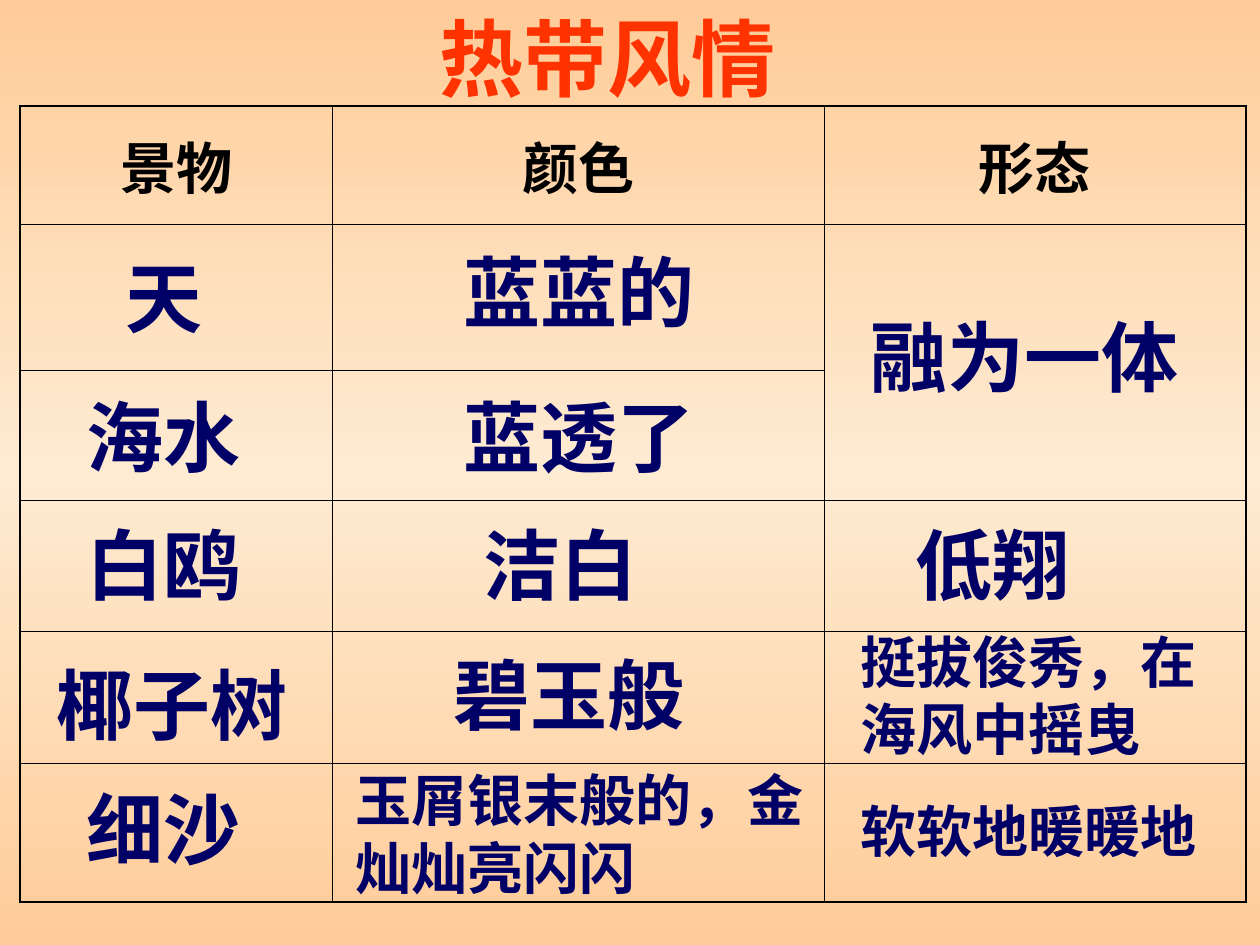
"""Build the tropical scenery slide: a title, a ruled grid and its answers."""
from copy import deepcopy

from lxml import etree
from pptx import Presentation
from pptx.dml.color import RGBColor
from pptx.enum.lang import MSO_LANGUAGE_ID
from pptx.enum.text import MSO_ANCHOR, MSO_AUTO_SIZE, PP_ALIGN
from pptx.oxml.ns import qn
from pptx.util import Inches, Pt

CHINESE = MSO_LANGUAGE_ID.SIMPLIFIED_CHINESE
TOP, MIDDLE = MSO_ANCHOR.TOP, MSO_ANCHOR.MIDDLE
LEFT, CENTER = PP_ALIGN.LEFT, PP_ALIGN.CENTER
FIXED = MSO_AUTO_SIZE.NONE

FONT = "Times New Roman"
RED, NAVY, BLACK = "FF3300", "000066", "000000"
STOPS = [(0, "FFCC99"), (0.5, "FEEBD2"), (1, "FFCC99")]
THICK, THIN = 1.08, 0.45
BIG, SMALL = 44, 32
HIGH = {BIG: 0.84, SMALL: 0.64}

TITLE = "热带风情"
HEADS = ["景物", "颜色", "形态"]
COLS = [2.48, 3.9, 3.35]
ROWS = [0.94, 1.16, 1.03, 1.04, 1.05, 1.1]
ANSWERS = [
    ("天", 0.9, 1.94, 1.97, BIG, 1),
    ("海水", 0.59, 3.04, 1.73, BIG, 1),
    ("白鸥", 0.59, 4.06, 2.6, BIG, 1),
    ("椰子树", 0.35, 5.17, 2.76, BIG, 1),
    ("细沙", 0.59, 6.15, 1.89, BIG, 1),
    ("蓝蓝的", 3.58, 1.89, 2.6, BIG, 1),
    ("蓝透了", 3.58, 3.04, 3.07, BIG, 1),
    ("洁白", 3.74, 4.06, 3.23, BIG, 1),
    ("碧玉般", 3.5, 5.09, 2.68, BIG, 1),
    ("玉屑银末般的，金灿灿亮闪闪", 2.72, 6.03, 4.02, SMALL, 2),
    ("融为一体", 6.81, 2.41, 3.19, BIG, 1),
    ("低翔", 7.17, 4.06, 2.83, BIG, 1),
    ("挺拔俊秀，在海风中摇曳", 6.73, 4.93, 3.27, SMALL, 2),
    ("软软地暖暖地", 6.73, 6.27, 3.27, SMALL, 1),
]


def color(code):
    return RGBColor.from_string(code)


def write(frame, text, size, code, align=LEFT):
    para = frame.paragraphs[0]
    para.alignment = align
    run = para.add_run()
    run.text = text
    font = run.font
    font.name, font.size, font.bold = FONT, Pt(size), True
    font.color.rgb = color(code)
    font.language_id = CHINESE


def shade(slide):
    fill = slide.background.fill
    fill.gradient()
    fill.gradient_angle = 90
    stops = next(slide.element.iter(qn("a:gsLst")))
    stops.insert(1, deepcopy(stops[0]))
    for stop, (spot, code) in zip(fill.gradient_stops, STOPS):
        stop.position = spot
        stop.color.rgb = color(code)


def rule(cell, widths):
    props = cell._tc.get_or_add_tcPr()
    for side, width in zip("LRTB", widths):
        line = etree.SubElement(props, qn(f"a:ln{side}"), w=str(Pt(width)))
        solid = etree.SubElement(line, qn("a:solidFill"))
        etree.SubElement(solid, qn("a:srgbClr"), val=BLACK)


def add_grid(slide):
    table = slide.shapes.add_table(
        len(ROWS), len(COLS), Inches(0.16), Inches(0.84),
        Inches(sum(COLS)), Inches(sum(ROWS))).table
    table.first_row = table.horz_banding = False
    for col, width in zip(table.columns, COLS):
        col.width = Inches(width)
    for row, height in zip(table.rows, ROWS):
        row.height = Inches(height)
    for r in range(len(ROWS)):
        for c in range(len(COLS)):
            cell = table.cell(r, c)
            edges = (c == 0, c == len(COLS) - 1, r == 0, r == len(ROWS) - 1)
            rule(cell, [THICK if edge else THIN for edge in edges])
            cell.fill.background()
            cell.vertical_anchor = MIDDLE
    for c, head in enumerate(HEADS):
        write(table.cell(0, c).text_frame, head, SMALL, BLACK, CENTER)
    table.cell(1, 2).merge(table.cell(2, 2))


def main():
    deck = Presentation()
    deck.slide_width, deck.slide_height = Inches(10), Inches(7.5)
    slide = deck.slides.add_slide(deck.slide_layouts[5])
    shade(slide)

    title = slide.shapes.title
    title.left, title.top = Inches(3.39), Inches(0)
    title.width, title.height = Inches(5), Inches(0.9)
    frame = title.text_frame
    frame.vertical_anchor, frame.auto_size = TOP, FIXED
    write(frame, TITLE, 48, RED)

    add_grid(slide)
    for text, left, top, width, size, lines in ANSWERS:
        box = slide.shapes.add_textbox(
            Inches(left), Inches(top), Inches(width),
            Inches(HIGH[size] * lines))
        box.text_frame.word_wrap = True
        write(box.text_frame, text, size, NAVY)

    deck.save("out.pptx")


if __name__ == "__main__":
    main()
